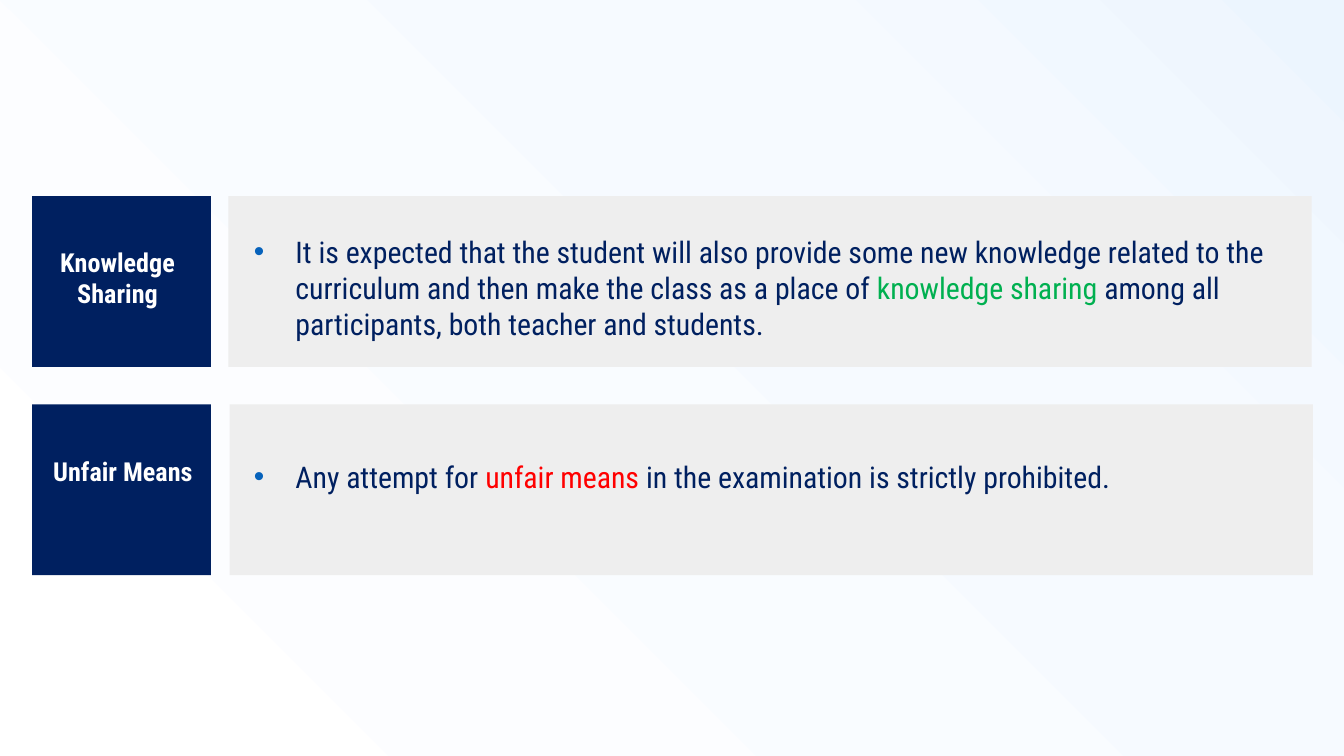
from lxml.etree import SubElement
from pptx import Presentation
from pptx.dml.color import RGBColor
from pptx.enum.shapes import MSO_SHAPE
from pptx.enum.text import PP_ALIGN
from pptx.oxml import parse_xml
from pptx.oxml.ns import nsdecls, qn
from pptx.util import Inches, Pt

NAVY = RGBColor(0x00, 0x20, 0x60)
PANEL = RGBColor(0xEE, 0xEE, 0xEE)
WHITE = RGBColor(0xFF, 0xFF, 0xFF)
GREEN = RGBColor(0x00, 0xB0, 0x50)
RED = RGBColor(0xFF, 0x00, 0x00)
BULLET = RGBColor(0x06, 0x62, 0xBB)
GLOW = [(0, RGBColor(0xEC, 0xF5, 0xFE)), (29, RGBColor(0xF6, 0xFA, 0xFF)), (99, WHITE)]
FONT = "Roboto Condensed"

LEFT, LABEL_W, PANEL_W = 0.24, 1.33, 8.06
TOP, ROW_H, ROW_STEP = 1.46, 1.27, 1.55
TEXT_LEFT = 1.79

# Text boxes are (left, top within the row, width, height).
ROWS = [
    dict(label="Knowledge Sharing", label_box=(0.18, 0.27, 1.39, 0.83), panel_left=1.7,
         body=[("It is expected that the student will also provide some new knowledge "
                "related to the curriculum and then make the class as a place of ", NAVY),
               ("knowledge sharing ", GREEN),
               ("among all participants, both teacher and students.", NAVY)],
         body_box=(TEXT_LEFT, 0.18, 7.79, 0.86)),
    dict(label="Unfair Means", label_box=(0.22, 0.28, 1.39, 0.83), panel_left=1.71,
         body=[("Any attempt for ", NAVY),
               ("unfair means ", RED),
               ("in the examination is strictly prohibited.", NAVY)],
         body_box=(TEXT_LEFT, 0.3, 7.58, 0.68)),
]


def set_background(s):
    """Radial gradient spreading from the top right corner."""
    s.background.fill.gradient()
    old = s._element.find(".//" + qn("a:gradFill"))
    stops = "".join(f'<a:gs pos="{pos * 1000}"><a:srgbClr val="{color}"/></a:gs>'
                    for pos, color in GLOW)
    new = parse_xml(
        f'<a:gradFill {nsdecls("a")} rotWithShape="1"><a:gsLst>{stops}</a:gsLst>'
        '<a:path path="circle"><a:fillToRect l="100000" b="100000"/></a:path></a:gradFill>')
    old.getparent().replace(old, new)


def add_block(s, box, color):
    sp = s.shapes.add_shape(MSO_SHAPE.RECTANGLE, *map(Inches, box))
    sp.shadow.inherit = False
    sp.fill.solid()
    sp.fill.fore_color.rgb = color
    sp.line.fill.background()


def add_bullet(p):
    pPr = p._p.get_or_add_pPr()
    pPr.set("marL", str(Inches(0.31)))
    pPr.set("indent", str(-Inches(0.31)))
    SubElement(SubElement(pPr, qn("a:buClr")), qn("a:srgbClr"), val=str(BULLET))
    SubElement(pPr, qn("a:buFont"), typeface="Arial")
    SubElement(pPr, qn("a:buChar"), char="•")


def add_text(s, box, runs, size, bold=False, align=PP_ALIGN.LEFT, bullet=False):
    tf = s.shapes.add_textbox(*map(Inches, box)).text_frame
    tf.word_wrap = True
    tf.margin_left = tf.margin_right = tf.margin_top = tf.margin_bottom = Inches(0.1)
    p = tf.paragraphs[0]
    p.alignment = align
    p.space_after = Pt(16)
    if bullet:
        add_bullet(p)
    for text, color in runs:
        r = p.add_run()
        r.text = text
        r.font.name = FONT
        r.font.size = Pt(size)
        r.font.bold = bold
        r.font.color.rgb = color


def add_row(s, top, label, label_box, panel_left, body, body_box):
    def within(box):
        left, offset, width, height = box
        return left, top + offset, width, height

    add_block(s, (LEFT, top, LABEL_W, ROW_H), NAVY)
    add_block(s, (panel_left, top, PANEL_W, ROW_H), PANEL)
    add_text(s, within(label_box), [(label, WHITE)], 14, bold=True, align=PP_ALIGN.CENTER)
    add_text(s, within(body_box), body, 16, bullet=True)


def main():
    prs = Presentation()
    prs.slide_width = Inches(10)
    prs.slide_height = prs.slide_width * 9 // 16
    s = prs.slides.add_slide(prs.slide_layouts[6])
    set_background(s)
    for i, row in enumerate(ROWS):
        add_row(s, TOP + i * ROW_STEP, **row)
    prs.save("out.pptx")


if __name__ == "__main__":
    main()
